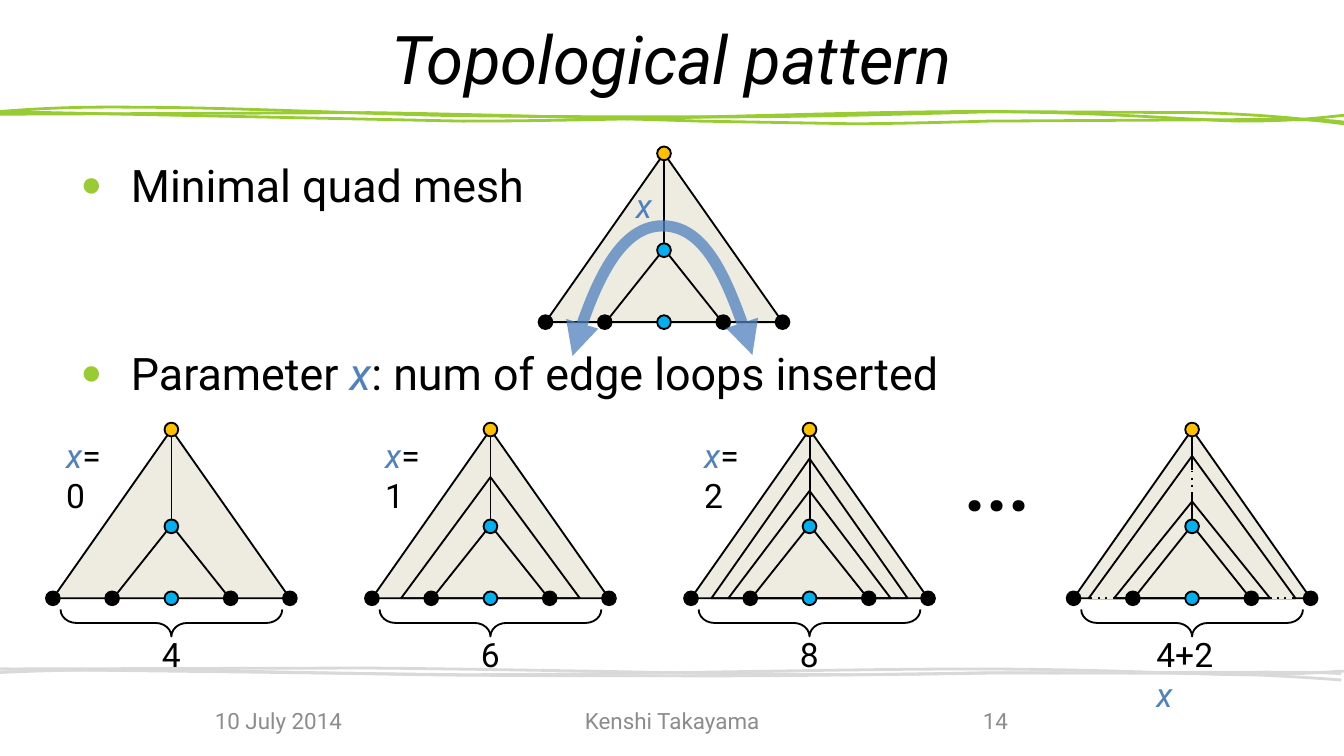
"""Build a slide on the topological pattern of a triangular quad mesh."""
import lxml.etree
import pptx
import pptx.dml.color
import pptx.enum.dml
import pptx.enum.shapes
import pptx.enum.text
import pptx.oxml.ns
import pptx.util

Cm = pptx.util.Cm
Pt = pptx.util.Pt
KIND = pptx.enum.shapes.MSO_SHAPE
ALIGN = pptx.enum.text.PP_ALIGN
MID = pptx.enum.text.MSO_ANCHOR.MIDDLE

HUES = {"ink": "000000", "lime": "99CC33", "mist": "D9D9D9", "gray": "8C8C8C",
        "blue": "4F81BD", "sky": "00B0F0", "gold": "FFC000", "sand": "EEECE1"}

STRANDS = [
    [(-0.03, 2.11), (8.74, 2.29), (11.81, 2.29, 15.93, 2.11, 18.36, 2.11),
     (20.8, 2.11, 22.25, 2.26, 23.42, 2.29), (24.59, 2.29, 25.07, 2.21, 25.4, 2.18),
     (25.73, 2.18, 25.55, 2.18, 25.37, 2.18)],
    [(-0.03, 2.11), (0.66, 2.06, 1.32, 2.01, 2.69, 2.03),
     (4.09, 2.03, 6.4, 2.13, 8.26, 2.18), (10.08, 2.21, 12.04, 2.21, 13.79, 2.21),
     (15.54, 2.21, 18.8, 2.11, 18.8, 2.11), (22.66, 2.13),
     (23.75, 2.16, 24.59, 2.24, 25.4, 2.34)],
    [(-0.05, 2.16), (6.99, 2.13), (9.19, 2.16, 13.21, 2.29, 13.21, 2.29), (16.1, 2.34),
     (17.02, 2.34, 18.67, 2.29, 18.67, 2.29), (23.95, 2.26),
     (25.07, 2.26, 25.25, 2.29, 25.4, 2.31)],
]
DROPS = [11.38, 11.45, 11.35]
ARCH = [(10.82, 6.73), (11.13, 5.51, 11.79, 4.27, 12.52, 4.27),
        (13.28, 4.27, 13.87, 5.49, 14.22, 6.71)]

WIDE, HIGH, CORE, DOT = 4.48, 3.19, 1.83, 0.26


def tone(name):
    """Return the named colour."""
    return pptx.dml.color.RGBColor.from_string(HUES[name])


def add(node, tag, **attrs):
    """Append a child element and return it."""
    return lxml.etree.SubElement(node, pptx.oxml.ns.qn(tag), attrs)


def write(para, text, size=18, hue="ink", bold=False, italic=False):
    """Add one formatted run of text to a paragraph."""
    run = para.add_run()
    run.text = text
    font = run.font
    font.name, font.size = "Roboto", Pt(size)
    font.bold, font.italic = bold, italic
    font.color.rgb = tone(hue)


def label(shapes, left, top, width, height, runs, align=ALIGN.LEFT, anchor=None):
    """Add a text box from (text, format) pairs."""
    box = shapes.add_textbox(Cm(left), Cm(top), Cm(width), Cm(height))
    frame = box.text_frame
    frame.word_wrap = True
    frame.vertical_anchor = anchor
    para = frame.paragraphs[0]
    para.alignment = align
    for text, style in runs:
        write(para, text, **style)


def paint(shape, fill=None, line="ink", width=1):
    """Set fill and line of a shape and drop its shadow."""
    shape.shadow.inherit = False
    if fill:
        shape.fill.solid()
        shape.fill.fore_color.rgb = tone(fill)
    else:
        shape.fill.background()
    shape.line.color.rgb = tone(line)
    shape.line.width = Pt(width)


def form(shapes, kind, mid, top, width, height, fill=None):
    """Add a preset shape centred on a vertical axis."""
    shape = shapes.add_shape(kind, Cm(mid - width / 2), Cm(top), Cm(width), Cm(height))
    paint(shape, fill)
    return shape


def stroke(shapes, start, end, hue="ink", dash=None):
    """Add a straight line."""
    ends = [Cm(value) for value in (*start, *end)]
    line = shapes.add_connector(pptx.enum.shapes.MSO_CONNECTOR.STRAIGHT, *ends)
    line.line.color.rgb = tone(hue)
    line.line.width = Pt(1)
    if dash:
        line.line.dash_style = dash
    add(line._element.spPr, "a:effectLst")


def curve(shapes, parts, hue, width):
    """Draw an open outline of lines (2 numbers) and cubic curves (6 numbers)."""
    dots = [(Cm(part[at]), Cm(part[at + 1]))
            for part in parts for at in range(0, len(part), 2)]
    pen = shapes.build_freeform(*dots[0])
    pen.add_line_segments(dots[1:], close=False)
    shape = pen.convert_to_shape()
    legs = iter(list(shape._element.iter(pptx.oxml.ns.qn("a:lnTo"))))
    for part in parts[1:]:
        leg = next(legs)
        if len(part) == 6:
            bend = leg.makeelement(pptx.oxml.ns.qn("a:cubicBezTo"))
            leg.addprevious(bend)
            for piece in (leg, next(legs), next(legs)):
                bend.append(piece[0])
                piece.getparent().remove(piece)
    paint(shape, None, hue, width)
    return shape


def shift(part, drop):
    """Flatten and lower one part of a strand."""
    return tuple(0.6 * value + drop if at % 2 else value - 0.05
                 for at, value in enumerate(part))


def waves(shapes):
    """Draw the lime strands and their flatter gray echo."""
    for strand in STRANDS:
        curve(shapes, strand, "lime", 1.5)
    for strand, drop in zip(STRANDS, DROPS):
        curve(shapes, [shift(part, drop) for part in strand], "mist", 1.5)


def arrow(shapes):
    """Draw the clear two-headed arch over the mesh."""
    arch = curve(shapes, ARCH, "blue", 6)
    line = arch.line._get_or_add_ln()
    add(line.find(".//" + pptx.oxml.ns.qn("a:srgbClr")), "a:alpha", val="75000")
    add(line, "a:headEnd", type="triangle")
    add(line, "a:tailEnd", type="triangle")


def mesh(slide, mid, top, loops=(), name=None, count=(), gaps=False):
    """Draw a triangle mesh with its loops, dots, brace and labels."""
    shapes = slide.shapes.add_group_shape().shapes
    base, core, rim = top + HIGH, top + CORE, DOT / 2
    slant = rim * 0.71
    form(shapes, KIND.ISOSCELES_TRIANGLE, mid, top, WIDE, HIGH, "sand")
    stroke(shapes, (mid, top + rim), (mid, core - rim))
    for side in (-1, 1):
        stroke(shapes, (mid + side * slant, core + slant),
               (mid + side * (WIDE / 4 - slant), base - slant))
    for width, height in loops:
        form(shapes, KIND.ISOSCELES_TRIANGLE, mid, base - height, width, height)
    if gaps:
        dash = pptx.enum.dml.MSO_LINE.SQUARE_DOT
        stroke(shapes, (mid, top + 1.19), (mid, top + 0.76), "sand", dash)
        for side in (-1, 1):
            stroke(shapes, (mid + side * 1.5, base), (mid + side * 1.9, base), "sand", dash)
    spots = [(step * WIDE / 4, base, "ink" if step else "sky") for step in range(-2, 3)]
    for move, y, hue in spots + [(0, top, "gold"), (0, core, "sky")]:
        form(shapes, KIND.OVAL, mid + move, y - rim, DOT, DOT, hue)
    if count:
        brace = form(shapes, KIND.LEFT_BRACE, mid, top + 1.56, 0.51, 4.19)
        brace.rotation = 270
        brace.adjustments[0] = 0.587
        wide = 0.86 if len(count) == 1 else 1.85
        label(shapes, mid - wide / 2, top + 3.74, wide, 1.02, count)
    if name:
        label(shapes, mid - WIDE / 2, top - 0.02, 1.5, 1.02, name)


def place(holder, left, top, width, height):
    """Move a placeholder and return its text frame."""
    holder.left, holder.top = Cm(left), Cm(top)
    holder.width, holder.height = Cm(width), Cm(height)
    holder.text_frame.auto_size = pptx.enum.text.MSO_AUTO_SIZE.NONE
    return holder.text_frame


def point(para, runs, before):
    """Fill one bulleted paragraph."""
    props = para._p.get_or_add_pPr()
    props.set("marL", str(Cm(0.95)))
    props.set("indent", str(Cm(-0.95)))
    para.space_before = Pt(before)
    add(add(props, "a:buClr"), "a:srgbClr", val=HUES["lime"])
    add(props, "a:buSzPct", val="80000")
    add(props, "a:buChar", char="●")
    for text, style in runs:
        write(para, text, size=24, **style)


def main():
    """Build and save the slide."""
    deck = pptx.Presentation()
    deck.slide_width, deck.slide_height = Cm(25.4), Cm(14.29)
    slide = deck.slides.add_slide(deck.slide_layouts[1])
    shapes = slide.shapes
    title, body = slide.placeholders
    waves(shapes)

    frame = place(title, 1.27, 0.57, 22.86, 1.02)
    frame.vertical_anchor = MID
    frame.paragraphs[0].alignment = ALIGN.CENTER
    write(frame.paragraphs[0], "Topological pattern", size=36, italic=True)

    var = ("x", {"hue": "blue", "italic": True})
    frame = place(body, 1.27, 2.85, 22.86, 9.52)
    point(frame.paragraphs[0], [("Minimal quad mesh", {})], 0)
    point(frame.add_paragraph(),
          [("Parameter ", {}), var, (": num of edge loops inserted", {})], 72)

    mesh(slide, 12.55, 2.9)
    arrow(shapes)
    label(shapes, 11.77, 3.38, 0.84, 1.02, [var])

    nests = [[], [(3.38, 2.29)], [(3.07, 2.03), (3.71, 2.64)]]
    for turn, loops in enumerate(nests):
        mesh(slide, 3.24 + 6.03 * turn, 8.12, loops, [var, (f"={turn}", {})],
             [(str(4 + 2 * turn), {})])
    mesh(slide, 22.53, 8.12, [(2.95, 1.83), (3.91, 2.69)],
         count=[("4+2", {}), var], gaps=True)
    label(shapes, 17.98, 8.13, 2.08, 1.96, [("...", {"size": 40, "bold": True})])

    feet = [("10 July 2014", 3.81, 3.35, ALIGN.LEFT),
            ("Kenshi Takayama", 9.96, 5.49, ALIGN.CENTER),
            ("14", 17.65, 1.65, ALIGN.RIGHT)]
    for text, left, width, align in feet:
        label(shapes, left, 13.25, width, 0.76,
              [(text, {"size": 12, "hue": "gray"})], align, MID)
    deck.save("out.pptx")


if __name__ == "__main__":
    main()
